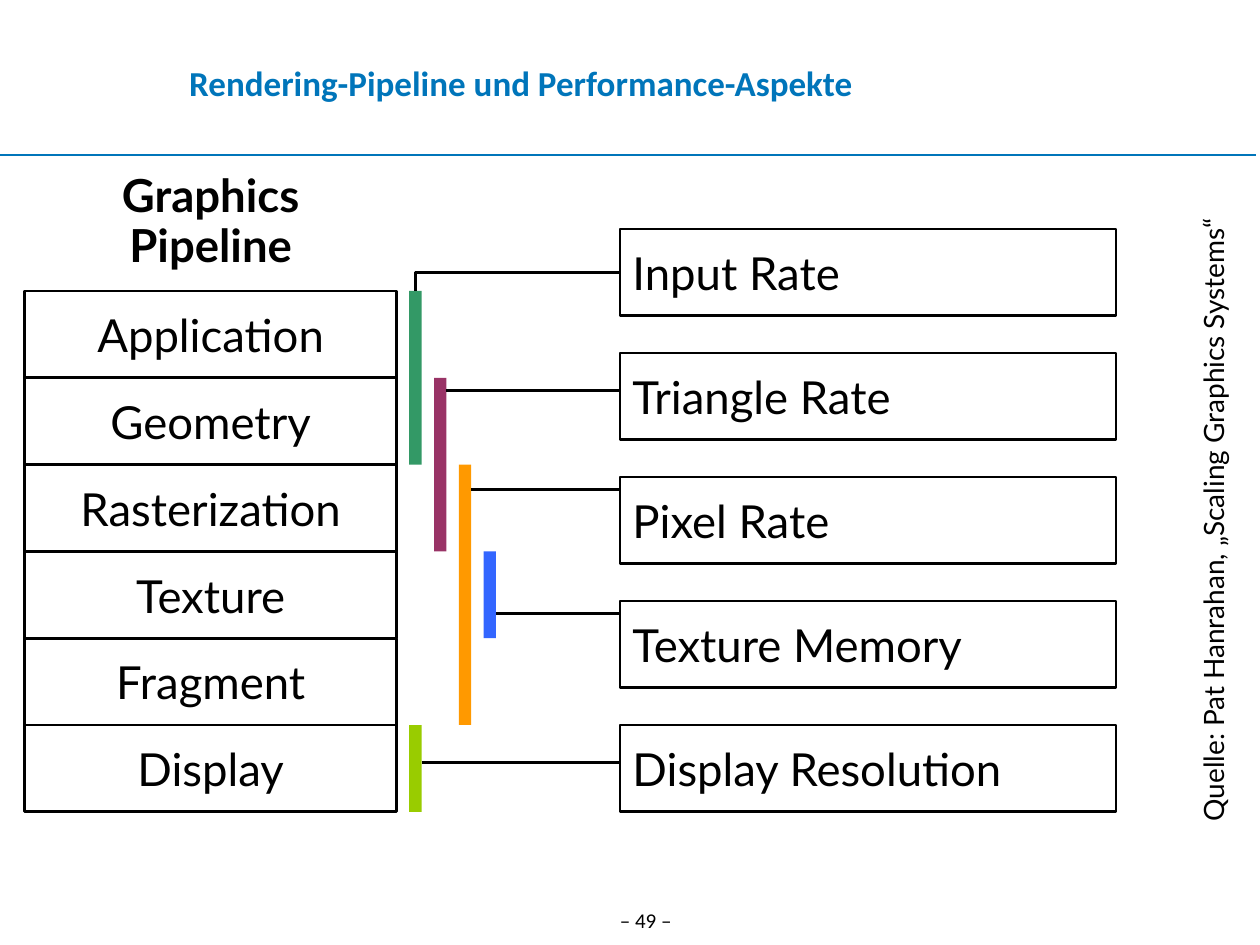
from dataclasses import dataclass

from lxml.etree import SubElement
from pptx import Presentation
from pptx.dml.color import RGBColor
from pptx.enum.shapes import MSO_CONNECTOR as Link, MSO_SHAPE as Shape
from pptx.enum.text import MSO_ANCHOR as Anchor, PP_ALIGN as Align
from pptx.oxml.ns import qn
from pptx.util import Inches, Mm, Pt


@dataclass(frozen=True)
class Theme:
    ink: str = "000000"
    accent: str = "0075BA"
    green: str = "339966"
    plum: str = "993366"
    orange: str = "FF9900"
    blue: str = "3366FF"
    lime: str = "99CC00"
    title_font: str = "Calibri"
    body_font: str = "Lato"
    title_size: int = 20
    label_size: int = 26
    source_size: int = 16
    page_size: int = 12
    outline: float = 1.5
    rule: float = 0.75


THEME = Theme()

# Grid of 2.5 mm cells; row 0 is the top of the pipeline.
CELL = Mm(2.5)
PIPELINE_TOP = Inches(2.31)
STAGE_COLUMN, STAGE_WIDTH = 2, 30
RATE_COLUMN, RATE_WIDTH = 50, 40
FIRST_RATE_ROW, RATE_PITCH = -5, 10
BOX_HEIGHT = 7

STAGES = ["Application", "Geometry", "Rasterization", "Texture", "Fragment", "Display"]

# Label, bar colour, bar column, first stage, stages covered, row of the line
# (None: the line leaves from the top of the bar).
RATES = [
    ("Input Rate", THEME.green, 33, 0, 2, None),
    ("Triangle Rate", THEME.plum, 35, 1, 2, 8),
    ("Pixel Rate", THEME.orange, 37, 2, 3, 16),
    ("Texture Memory", THEME.blue, 39, 3, 1, 26),
    ("Display Resolution", THEME.lime, 33, 5, 1, 38),
]


def at(column, row):
    return column * CELL, PIPELINE_TOP + row * CELL


def area(column, row, columns, rows):
    return (*at(column, row), columns * CELL, rows * CELL)


def inches(*lengths):
    return [Inches(length) for length in lengths]


def write(shape, lines, size, font=THEME.body_font, color=THEME.ink, bold=False,
          align=Align.CENTER, anchor=Anchor.MIDDLE, spacing=None, gap=0):
    frame = shape.text_frame
    frame.word_wrap = True
    frame.vertical_anchor = anchor
    for index, line in enumerate(lines):
        para = frame.add_paragraph() if index else frame.paragraphs[0]
        para.alignment = align
        para.line_spacing = spacing
        para.space_before = Pt(gap if index else 0)
        span = para.add_run()
        span.text = line
        span.font.name = font
        span.font.size = Pt(size)
        span.font.bold = bold
        span.font.color.rgb = RGBColor.from_string(color)


def add_text(page, place, lines, size, **style):
    box = page.shapes.add_textbox(*place)
    write(box, lines, size, **style)
    return box


def add_label_box(page, place, label, align):
    box = page.shapes.add_shape(Shape.RECTANGLE, *place)
    box.shadow.inherit = False
    box.fill.background()
    box.line.color.rgb = RGBColor.from_string(THEME.ink)
    box.line.width = Pt(THEME.outline)
    write(box, [label], THEME.label_size, align=align)
    return box


def add_bar(page, place, color):
    bar = page.shapes.add_shape(Shape.RECTANGLE, *place)
    bar.shadow.inherit = False
    bar.fill.solid()
    bar.fill.fore_color.rgb = RGBColor.from_string(color)
    bar.line.fill.background()
    return bar


def add_line(page, start, end, color=THEME.ink, width=THEME.outline, kind=Link.STRAIGHT):
    line = page.shapes.add_connector(kind, *start, *end)
    line.line.color.rgb = RGBColor.from_string(color)
    line.line.width = Pt(width)
    SubElement(line._element.spPr, qn("a:effectLst"))
    return line


def add_corner_line(page, bar, box):
    """Run up from the top of the bar, then right to the side of the box."""
    start_x, start_y = bar.left + bar.width // 2, bar.top
    end_x, end_y = box.left, box.top + box.height // 2
    line = add_line(page, (start_x, start_y), (end_x, end_y), kind=Link.ELBOW)
    line.begin_connect(bar, 0)
    line.end_connect(box, 1)

    # A one-corner connector is stored turned by 90 degrees about its centre.
    across, up = end_x - start_x, start_y - end_y
    line.left = (start_x + end_x - up) // 2
    line.top = (start_y + end_y - across) // 2
    line.width, line.height = up, across
    properties = line._element.spPr
    properties.find(qn("a:prstGeom")).set("prst", "bentConnector2")
    frame = properties.find(qn("a:xfrm"))
    for name, value in (("rot", "5400000"), ("flipH", "1"), ("flipV", "1")):
        frame.set(name, value)


def add_header_and_footer(page):
    add_line(page, inches(-0.04, 1.23), inches(9.97, 1.23), THEME.accent, THEME.rule)
    add_text(page, inches(4.69, 7.15, 0.87, 0.51), ["– 49 –"], THEME.page_size,
             font=THEME.title_font, anchor=Anchor.TOP)
    add_text(page, inches(0.2, 0.23, 7.87, 0.85),
             ["Rendering-Pipeline und Performance-Aspekte"], THEME.title_size,
             font=THEME.title_font, color=THEME.accent, bold=True)


def add_pipeline(page):
    add_text(page, area(STAGE_COLUMN, -10, STAGE_WIDTH, 10), ["Graphics", "Pipeline"],
             THEME.label_size, bold=True, spacing=0.5, gap=13)
    for index, stage in enumerate(STAGES):
        place = area(STAGE_COLUMN, index * BOX_HEIGHT, STAGE_WIDTH, BOX_HEIGHT)
        add_label_box(page, place, stage, Align.CENTER)


def add_rates(page):
    for index, (label, color, column, first, count, line_row) in enumerate(RATES):
        row = FIRST_RATE_ROW + index * RATE_PITCH
        box = add_label_box(page, area(RATE_COLUMN, row, RATE_WIDTH, BOX_HEIGHT),
                            label, Align.LEFT)
        bar = add_bar(page, area(column, first * BOX_HEIGHT, 1, count * BOX_HEIGHT), color)
        if line_row is None:
            add_corner_line(page, bar, box)
        else:
            add_line(page, at(column + 1, line_row), at(RATE_COLUMN, line_row))


def add_source(page):
    source = add_text(page, inches(6.86, 3.66, 5.54, 0.37),
                      ["Quelle: Pat Hanrahan, „Scaling Graphics Systems“"],
                      THEME.source_size, align=Align.LEFT, anchor=Anchor.TOP)
    source.rotation = 270


def main():
    deck = Presentation()
    deck.slide_width, deck.slide_height = inches(10, 7.5)
    page = deck.slides.add_slide(deck.slide_layouts[6])
    add_header_and_footer(page)
    add_pipeline(page)
    add_rates(page)
    add_source(page)
    deck.save("out.pptx")


if __name__ == "__main__":
    main()
